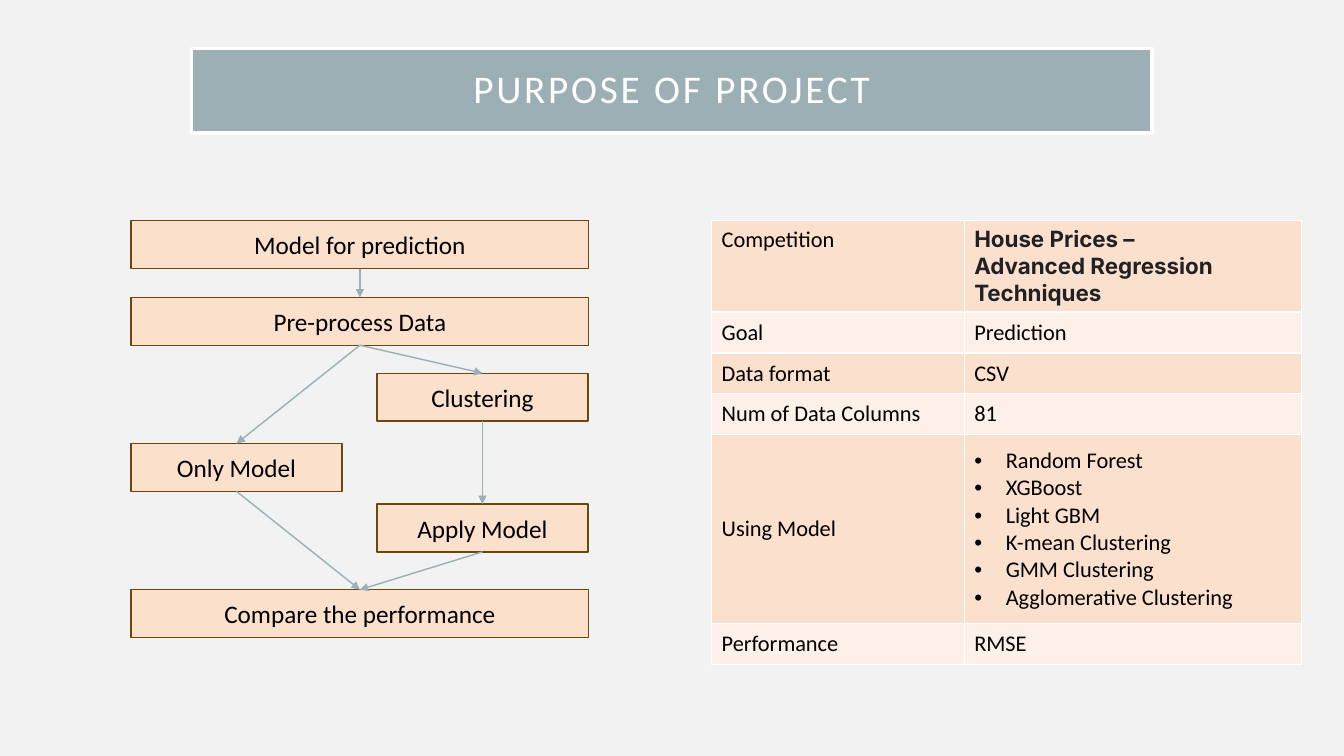
from lxml import etree
from pptx import Presentation
from pptx.dml.color import RGBColor
from pptx.enum.shapes import MSO_CONNECTOR as Connector, MSO_SHAPE as Shape
from pptx.enum.text import MSO_ANCHOR as Anchor, PP_ALIGN as Align
from pptx.oxml import parse_xml
from pptx.oxml.ns import nsdecls, qn
from pptx.util import Pt

BACKGROUND = RGBColor(0xF2, 0xF2, 0xF2)
SLATE = RGBColor(0x9B, 0xAF, 0xB5)
WHITE = RGBColor(0xFF, 0xFF, 0xFF)
BLACK = RGBColor(0, 0, 0)
CHARCOAL = RGBColor(0x20, 0x21, 0x24)
PEACH = RGBColor(0xFB, 0xE0, 0xCC)
BROWN = RGBColor(0x6C, 0x47, 0x0D)
ROW_DARK = RGBColor(0xFB, 0xE0, 0xCD)
ROW_LIGHT = RGBColor(0xFD, 0xF0, 0xE8)

BODY_FONT = "Calibri"
HEADLINE_FONT = "Inter"
BULLET_INDENT = Pt(22.5)

LEFT, RIGHT = 93.6, 269.3
WIDE, NARROW = 327, 150.7
STEP_HEIGHT = 34.2
TOP, BOTTOM = 0, 2  # connection sites of a rectangle

STEPS = {
    "Model for prediction": (LEFT, 157.7, WIDE),
    "Pre-process Data": (LEFT, 212.4, WIDE),
    "Only Model": (LEFT, 316.8, NARROW),
    "Clustering": (RIGHT, 266.6, NARROW),
    "Apply Model": (RIGHT, 360, NARROW),
    "Compare the performance": (LEFT, 421.2, WIDE),
}
ARROWS = [
    ("Model for prediction", "Pre-process Data", 1.25),
    ("Pre-process Data", "Clustering", 1),
    ("Pre-process Data", "Only Model", 1),
    ("Only Model", "Compare the performance", 1),
    ("Clustering", "Apply Model", 1),
    ("Apply Model", "Compare the performance", 1),
]
FACTS = [
    ("Competition", ["House Prices –", "Advanced Regression Techniques"], 50.4),
    ("Goal", ["Prediction"], 29.2),
    ("Data format", ["CSV"], 29.2),
    ("Num of Data Columns", ["81"], 29.2),
    ("Using Model", ["Random Forest", "XGBoost", "Light GBM", "K-mean Clustering",
                     "GMM Clustering", "Agglomerative Clustering"], 134.8),
    ("Performance", ["RMSE"], 29.2),
]


class SlideBuilder:
    def __init__(self, page):
        self.page = page
        page.background.fill.solid()
        page.background.fill.fore_color.rgb = BACKGROUND

    def style_font(self, para, size, color, name=BODY_FONT, bold=False):
        font = para.font
        font.name, font.size, font.bold = name, Pt(size), bold
        font.color.rgb = color

    def style_box(self, box, fill, line, width):
        box.fill.solid()
        box.fill.fore_color.rgb = fill
        box.line.color.rgb = line
        box.line.width = Pt(width)

    def title(self, text, left, top, width, height):
        box = self.page.shapes.title
        box.left, box.top, box.width, box.height = map(Pt, (left, top, width, height))
        self.style_box(box, SLATE, WHITE, 2.5)
        frame = box.text_frame
        frame.vertical_anchor = Anchor.MIDDLE
        frame.margin_left = frame.margin_right = Pt(14.4)
        frame.margin_top = frame.margin_bottom = Pt(14.4)
        para = frame.paragraphs[0]
        para.alignment, para.line_spacing = Align.CENTER, 0.9
        span = para.add_run()
        span.text = text
        span._r.get_or_add_rPr().set("spc", "200")
        self.style_font(para, 28, WHITE)

    def step(self, text, left, top, width):
        box = self.page.shapes.add_shape(
            Shape.RECTANGLE, Pt(left), Pt(top), Pt(width), Pt(STEP_HEIGHT))
        box.shadow.inherit = False
        self.style_box(box, PEACH, BROWN, 1)
        box.text_frame.vertical_anchor = Anchor.MIDDLE
        para = box.text_frame.paragraphs[0]
        para.text, para.alignment = text, Align.CENTER
        self.style_font(para, 18, BLACK)
        return box

    def arrow(self, source, target, width):
        link = self.page.shapes.add_connector(Connector.STRAIGHT, 0, 0, 0, 0)
        link.begin_connect(source, BOTTOM)
        link.end_connect(target, TOP)
        link.line.color.rgb = SLATE
        link.line.width = Pt(width)
        etree.SubElement(link.line._get_or_add_ln(), qn("a:tailEnd"), type="triangle")
        etree.SubElement(link._element.spPr, qn("a:effectLst"))

    def bullet(self, para):
        props = para._p.get_or_add_pPr()
        props.set("marL", str(BULLET_INDENT))
        props.set("indent", str(-BULLET_INDENT))
        etree.SubElement(props, qn("a:buFont"), typeface="Arial")
        etree.SubElement(props, qn("a:buChar"), char="•")

    def cell(self, cell, lines, fill, headline=False, bulleted=False):
        for side in ("lnL", "lnR", "lnT", "lnB"):
            cell._tc.get_or_add_tcPr().append(parse_xml(
                f'<a:{side} {nsdecls("a")} w="{Pt(1)}"><a:solidFill>'
                f'<a:srgbClr val="{WHITE}"/></a:solidFill></a:{side}>'))
        cell.fill.solid()
        cell.fill.fore_color.rgb = fill
        cell.text = "\n".join(lines)
        for para in cell.text_frame.paragraphs:
            if bulleted:
                self.bullet(para)
            if headline:
                self.style_font(para, 16, CHARCOAL, HEADLINE_FONT, True)
            else:
                self.style_font(para, 16, BLACK)

    def table(self, facts, left, top, widths):
        heights = [height for _, _, height in facts]
        table = self.page.shapes.add_table(
            len(facts), len(widths), Pt(left), Pt(top),
            Pt(sum(widths)), Pt(sum(heights))).table
        for column, width in zip(table.columns, widths):
            column.width = Pt(width)
        for index, (label, values, height) in enumerate(facts):
            table.rows[index].height = Pt(height)
            fill = ROW_LIGHT if index % 2 else ROW_DARK
            first = index == 0
            name, value = table.cell(index, 0), table.cell(index, 1)
            self.cell(name, [label], fill)
            self.cell(value, values, fill, headline=first,
                      bulleted=not first and len(values) > 1)
            name.vertical_anchor = value.vertical_anchor = (
                Anchor.TOP if first else Anchor.MIDDLE)


def main():
    deck = Presentation()
    deck.slide_width, deck.slide_height = Pt(960), Pt(540)
    title_only = deck.slide_layouts[5]
    builder = SlideBuilder(deck.slides.add_slide(title_only))
    builder.title("PURPOSE OF PROJECT", 136.8, 34.6, 686.2, 60.5)
    boxes = {text: builder.step(text, *place) for text, place in STEPS.items()}
    for source, target, width in ARROWS:
        builder.arrow(boxes[source], boxes[target], width)
    builder.table(FACTS, 508.3, 157.7, (180.4, 241.2))
    deck.save("out.pptx")


if __name__ == "__main__":
    main()
